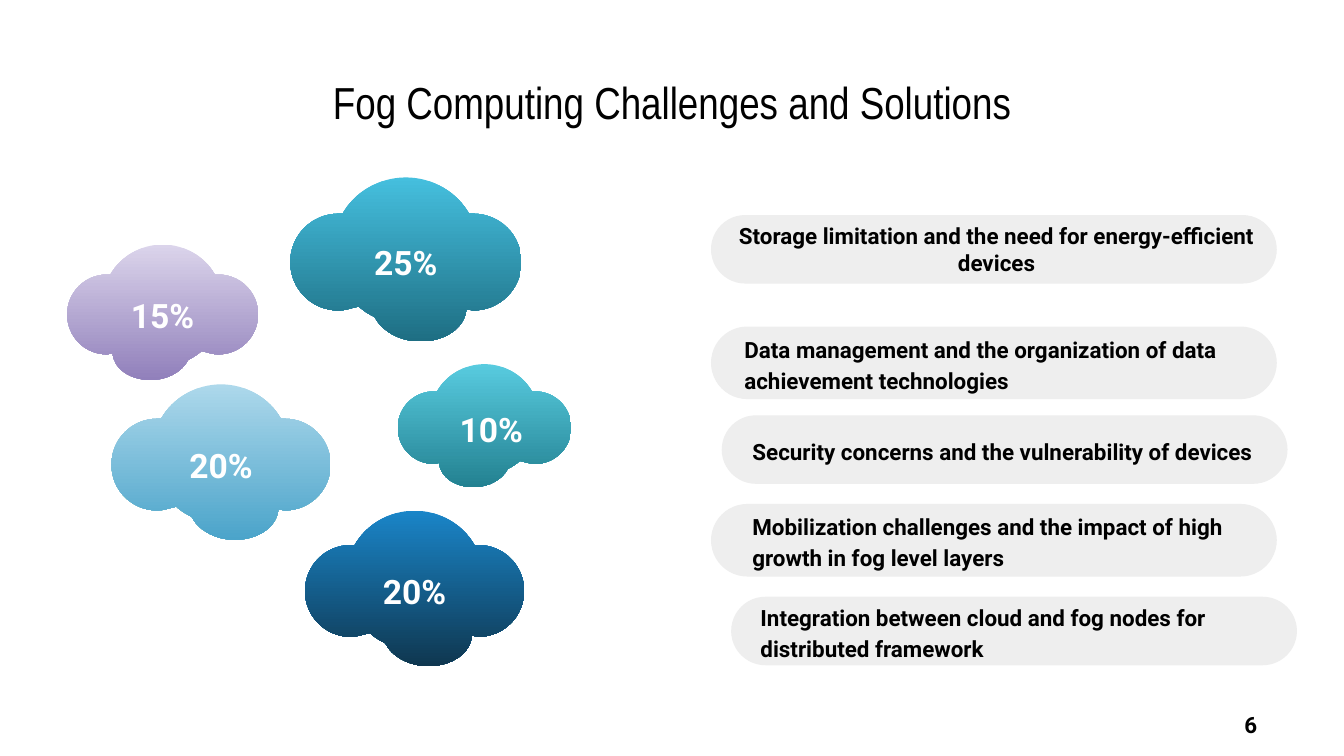
from lxml.etree import SubElement
from pptx import Presentation
from pptx.dml.color import RGBColor
from pptx.enum.shapes import MSO_SHAPE
from pptx.enum.text import MSO_ANCHOR, PP_ALIGN
from pptx.oxml.ns import qn
from pptx.util import Inches, Pt

presentation = Presentation()
presentation.slide_width = Inches(10)
presentation.slide_height = Inches(5.625)
slide = presentation.slides.add_slide(presentation.slide_layouts[6])

# Square grid: 100 columns across the slide, rows of the same size
UNIT = presentation.slide_width / 100


def color(hex_string):
    return RGBColor.from_string(hex_string)


def add_text(text, left, top, width, height, size=12, hex_string="000000",
             font="Roboto", bold=True, align=PP_ALIGN.LEFT, spacing=1.0,
             anchor=MSO_ANCHOR.MIDDLE):
    box = slide.shapes.add_textbox(*(round(n * UNIT) for n in (left, top, width, height)))
    frame = box.text_frame
    frame.word_wrap = True
    frame.vertical_anchor = anchor
    frame.margin_left = frame.margin_right = Inches(0.1)
    frame.margin_top = frame.margin_bottom = Inches(0.1)
    paragraph = frame.paragraphs[0]
    paragraph.text = text
    paragraph.alignment = align
    paragraph.line_spacing = spacing
    paragraph.font.name = font
    paragraph.font.size = Pt(size)
    paragraph.font.bold = bold
    paragraph.font.color.rgb = color(hex_string)


# Title
add_text("Fog Computing Challenges and Solutions", 5, 4.4, 90, 6.3, size=24,
         font="Arial Narrow", bold=False, align=PP_ALIGN.CENTER)

# Cloud outline on a 172 by 122 grid: a start, then three points for each Bezier curve
CLOUD_WIDTH, CLOUD_HEIGHT = 172, 122
CLOUD_OUTLINE = [
    (86, 0),
    (66, 0), (48, 11), (39, 27),
    (38, 27), (37, 27), (36, 27),
    (16, 27), (0, 43), (0, 63),
    (0, 83), (16, 99), (36, 99),
    (41, 99), (46, 97), (51, 96),
    (54, 99), (59, 102), (63, 104),
    (68, 114), (81, 122), (97, 122),
    (115, 122), (130, 112), (131, 98),
    (133, 98), (134, 99), (136, 99),
    (156, 99), (172, 83), (172, 63),
    (172, 43), (156, 27), (136, 27),
    (135, 27), (134, 27), (133, 27),
    (124, 11), (106, 0), (86, 0),
]

# Clouds: label, left, top, width, mirrored, label shift, top and bottom colours
clouds = [
    ("25%", 21.6, 13.2, 17.2, False, 0, "45BFDE", "1E6E83"),
    ("20%", 8.3, 28.6, 16.3, False, 0, "ADD8EB", "4BA4CA"),
    ("15%", 5.0, 18.2, 14.2, True, 0, "DBD4EB", "9180BB"),
    ("10%", 29.6, 27.1, 12.9, True, 0.5, "58CBDF", "238191"),
    ("20%", 22.7, 38.0, 16.3, False, 0, "1A85C8", "0F3750"),
]
LABEL_WIDTH, LABEL_HEIGHT = 7.5, 4.2
for label, left, top, width, mirrored, shift, top_color, bottom_color in clouds:
    scale = width / CLOUD_WIDTH
    points = [(round((left + scale * (CLOUD_WIDTH - x if mirrored else x)) * UNIT),
               round((top + scale * y) * UNIT)) for x, y in CLOUD_OUTLINE]
    builder = slide.shapes.build_freeform(*points[0])
    builder.add_line_segments(points[1:], close=True)
    cloud = builder.convert_to_shape()

    # Turn each three straight segments into one cubic curve
    segments = list(cloud._element.iter(qn("a:lnTo")))
    for index in range(0, len(segments), 3):
        curve = SubElement(segments[index].getparent(), qn("a:cubicBezTo"))
        segments[index].addprevious(curve)
        for segment in segments[index:index + 3]:
            curve.append(segment[0])
            segment.getparent().remove(segment)

    cloud.shadow.inherit = False
    cloud.line.fill.background()
    cloud.fill.gradient()
    cloud.fill.gradient_angle = 270
    for stop, hex_string in zip(cloud.fill.gradient_stops, (top_color, bottom_color)):
        stop.color.rgb = color(hex_string)
    add_text(label, left + (width - LABEL_WIDTH) / 2 + shift,
             top + (CLOUD_HEIGHT * scale - LABEL_HEIGHT) / 2,
             LABEL_WIDTH, LABEL_HEIGHT, size=18, hex_string="FFFFFF",
             align=PP_ALIGN.CENTER, spacing=1.15)

# Challenges: text, pill left, top and height, text indent, alignment, line spacing
PILL_WIDTH = 42.1
challenges = [
    ("Storage limitation and the need for energy-efficient devices",
     52.9, 16.0, 5.1, 0.2, PP_ALIGN.CENTER, 1.0),
    ("Data management and the organization of data achievement technologies",
     52.9, 24.3, 5.4, 1.5, PP_ALIGN.LEFT, 1.15),
    ("Security concerns and the vulnerability of devices",
     53.7, 30.9, 5.1, 1.3, PP_ALIGN.LEFT, 1.15),
    ("Mobilization challenges and the impact of high growth in fog level layers",
     52.9, 37.5, 5.4, 2.1, PP_ALIGN.LEFT, 1.15),
    ("Integration between cloud and fog nodes for distributed framework",
     54.4, 44.4, 5.1, 1.2, PP_ALIGN.LEFT, 1.15),
]
for text, left, top, height, indent, align, spacing in challenges:
    pill = slide.shapes.add_shape(MSO_SHAPE.ROUNDED_RECTANGLE,
                                  *(round(n * UNIT) for n in (left, top, PILL_WIDTH, height)))
    pill.adjustments[0] = 0.5
    pill.shadow.inherit = False
    pill.fill.solid()
    pill.fill.fore_color.rgb = color("EEEEEE")
    pill.line.fill.background()
    add_text(text, left + indent, top, PILL_WIDTH, height, align=align, spacing=spacing)

# Page number
add_text("6", 91.6, 51.9, 8.4, 4.3, anchor=MSO_ANCHOR.TOP)

presentation.save("out.pptx")
